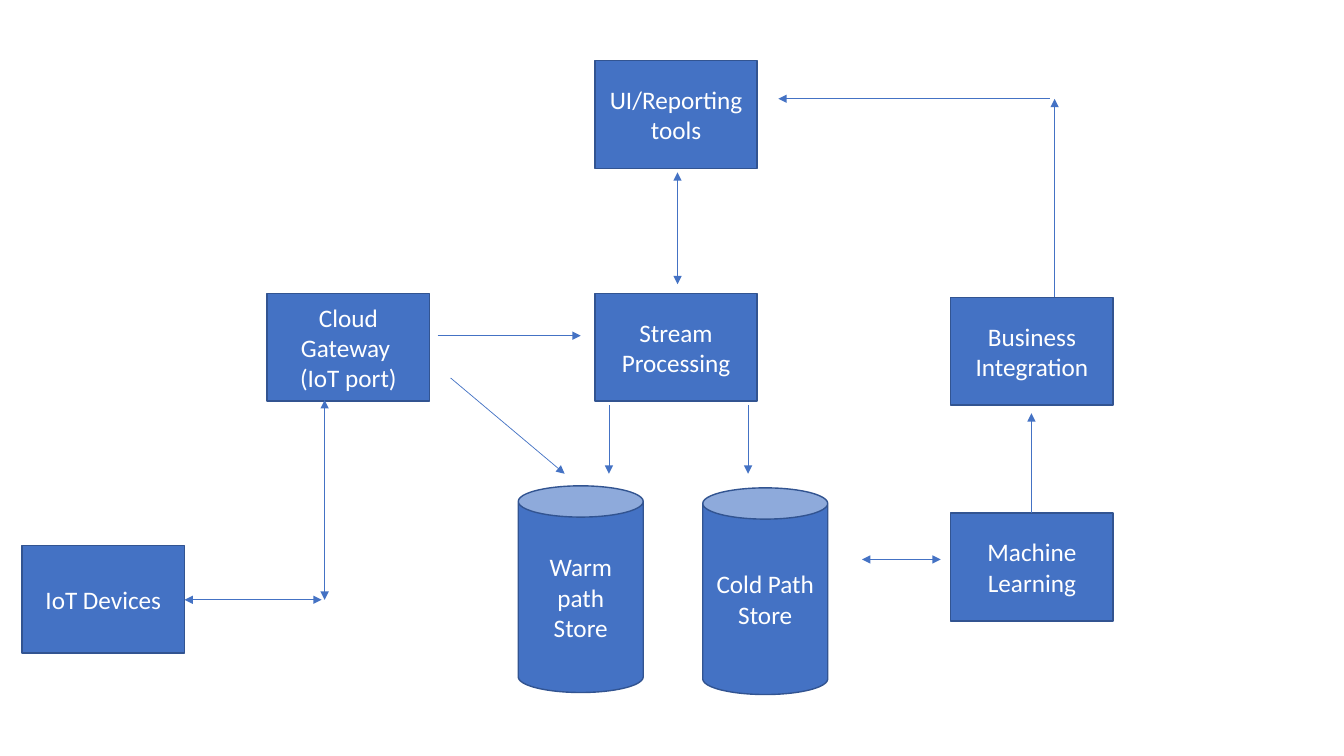
from dataclasses import dataclass

from lxml.etree import SubElement
from pptx import Presentation
from pptx.dml.color import RGBColor as RGB
from pptx.enum.shapes import MSO_CONNECTOR as LINE, MSO_SHAPE as SHAPE
from pptx.enum.text import MSO_ANCHOR as ANCHOR, PP_ALIGN as ALIGN
from pptx.oxml.ns import qn
from pptx.util import Inches, Pt


@dataclass(frozen=True)
class Theme:
    """Colours, type and line widths of the slide."""
    fill: RGB = RGB(0x44, 0x72, 0xC4)
    edge: RGB = RGB(0x32, 0x54, 0x91)
    ink: RGB = RGB(0xFF, 0xFF, 0xFF)
    font: str = "Calibri"
    size: float = 18
    rim: float = 1
    wire: float = 0.5


THEME = Theme()
BOX = (1.61, 1.07)
CAN = (1.24, 2.05)

STEPS = [
    ("IoT Devices", 0.22, 5.41),
    ("Cloud Gateway \n(IoT port)", 2.65, 2.91),
    ("Stream Processing", 5.9, 2.91),
    ("UI/Reporting tools", 5.9, 0.6),
    ("Business Integration", 9.43, 2.95),
    ("Machine Learning", 9.43, 5.09),
]
STORES = [
    ("Warm path Store", 5.14, 4.82),
    ("Cold Path\nStore", 6.97, 4.84),
]
ONE_WAY = [
    ((4.34, 3.33), (5.76, 3.33)),
    ((4.47, 3.75), (5.6, 4.7)),
    ((6.04, 4.02), (6.04, 4.7)),
    ((7.42, 4.02), (7.42, 4.7)),
    ((10.23, 5.09), (10.23, 4.1)),
    ((10.46, 2.95), (10.46, 0.98)),
    ((10.41, 0.98), (7.72, 0.98)),
]
TWO_WAY = [
    ((3.22, 3.97), (3.22, 5.95)),
    ((3.19, 5.95), (1.83, 5.95)),
    ((8.55, 5.55), (9.33, 5.55)),
    ((6.72, 1.71), (6.72, 2.82)),
]


def write(frame, text, size=THEME.size, color=THEME.ink, align=ALIGN.CENTER):
    """Fill a text frame, one paragraph for each line of text."""
    frame.word_wrap = True
    frame.vertical_anchor = ANCHOR.MIDDLE
    for i, line in enumerate(text.split("\n")):
        para = frame.add_paragraph() if i else frame.paragraphs[0]
        para.alignment = align
        run = para.add_run()
        run.text = line
        run.font.name = THEME.font
        run.font.size = Pt(size)
        run.font.color.rgb = color


def node(slide, kind, spot, size, text):
    """Add a filled shape with a centred label."""
    shape = slide.shapes.add_shape(kind, *map(Inches, spot + size))
    shape.shadow.inherit = False
    shape.fill.solid()
    shape.fill.fore_color.rgb = THEME.fill
    shape.line.color.rgb = THEME.edge
    shape.line.width = Pt(THEME.rim)
    write(shape.text_frame, text)


def arrow(slide, start, end, both=False):
    """Add a straight arrow with a head at its end, or at both ends."""
    link = slide.shapes.add_connector(
        LINE.STRAIGHT, *map(Inches, start + end))
    link.line.color.rgb = THEME.fill
    link.line.width = Pt(THEME.wire)
    props = link._element.spPr
    for tip in ("a:headEnd", "a:tailEnd") if both else ("a:tailEnd",):
        SubElement(props.find(qn("a:ln")), qn(tip), type="triangle")
    SubElement(props, qn("a:effectLst"))


def main():
    """Build the data flow diagram and save it."""
    deck = Presentation()
    deck.slide_width, deck.slide_height = Inches(13.33), Inches(7.5)
    slide = deck.slides.add_slide(deck.slide_layouts.get_by_name("Blank"))
    for kind, size, nodes in (
            (SHAPE.RECTANGLE, BOX, STEPS), (SHAPE.CAN, CAN, STORES)):
        for text, left, top in nodes:
            node(slide, kind, (left, top), size, text)
    for both, links in ((False, ONE_WAY), (True, TWO_WAY)):
        for start, end in links:
            arrow(slide, start, end, both)
    deck.save("out.pptx")


main()
